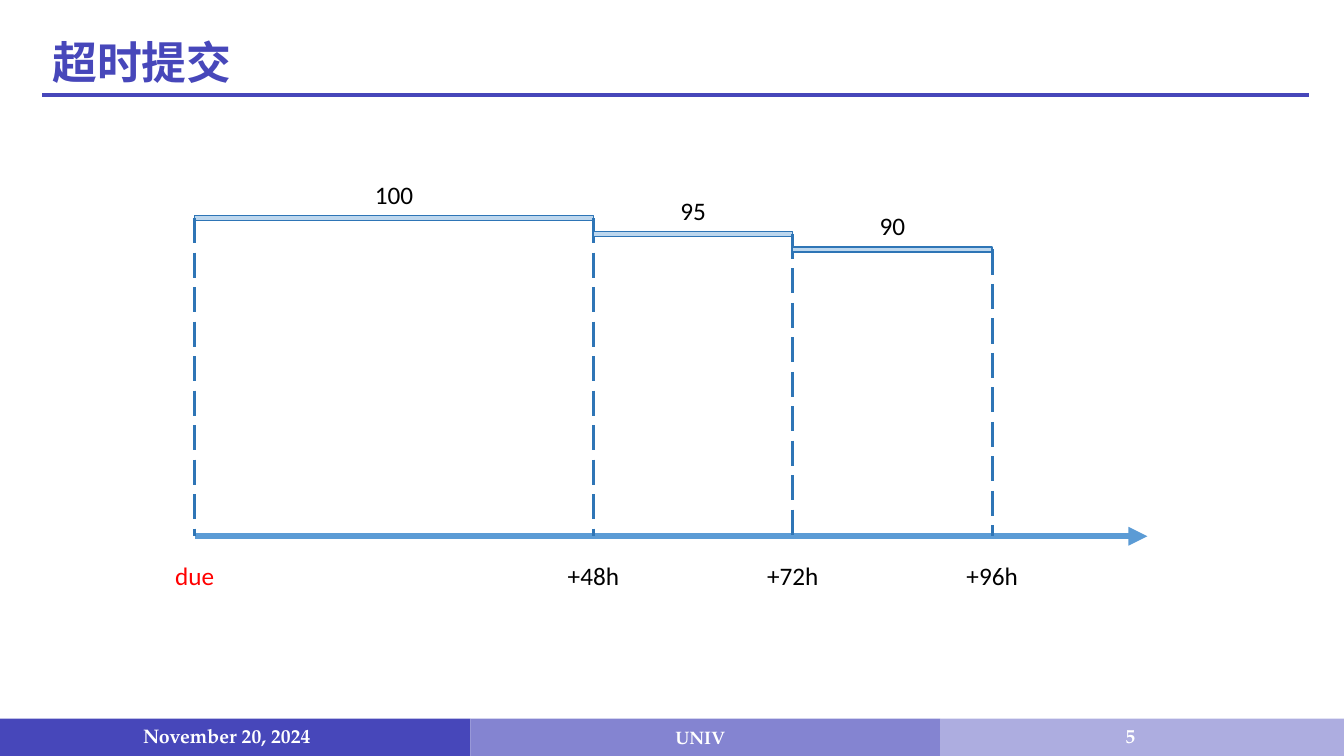
from dataclasses import dataclass

import pptx
import pptx.dml.color
import pptx.enum.dml
import pptx.enum.shapes
import pptx.enum.text
import pptx.oxml.ns
import pptx.util
from lxml import etree

Inches = pptx.util.Inches
Pt = pptx.util.Pt
ALIGN = pptx.enum.text.PP_ALIGN
ANCHOR = pptx.enum.text.MSO_ANCHOR


@dataclass(frozen=True)
class Theme:
    primary: str = "4747BA"
    footer_mid: str = "8484D1"
    footer_light: str = "ADADE0"
    axis: str = "5B9BD5"
    edge: str = "2E75B6"
    bar: str = "BDD7EE"
    text: str = "000000"
    accent: str = "FF0000"
    white: str = "FFFFFF"
    title_font: str = "Cabin"
    body_font: str = "Calibri"
    footer_font: str = "TeX Gyre Pagella"
    title_size: float = 32
    body_size: float = 18
    footer_size: float = 14
    footer_mid_size: float = 12.9


THEME = Theme()


def rgb(value):
    return pptx.dml.color.RGBColor.from_string(value)


def add_rect(s, left, top, width, height, fill, line=None):
    sp = s.shapes.add_shape(pptx.enum.shapes.MSO_SHAPE.RECTANGLE, Inches(left),
                            Inches(top), Inches(width), Inches(height))
    sp.shadow.inherit = False
    sp.fill.solid()
    sp.fill.fore_color.rgb = rgb(fill)
    if line:
        sp.line.color.rgb = rgb(line)
        sp.line.width = Pt(1)
    else:
        sp.line.fill.background()
    return sp


def add_line(s, x1, y1, x2, y2, color, width):
    cx = s.shapes.add_connector(pptx.enum.shapes.MSO_CONNECTOR.STRAIGHT, Inches(x1),
                                Inches(y1), Inches(x2), Inches(y2))
    cx.line.color.rgb = rgb(color)
    cx.line.width = Pt(width)
    etree.SubElement(cx._element.spPr, pptx.oxml.ns.qn("a:effectLst"))
    return cx


def add_text(s, text, left, top, width, height, font, size, color, bold=False,
             align=ALIGN.CENTER, anchor=ANCHOR.MIDDLE, wrap=True):
    tb = s.shapes.add_textbox(Inches(left), Inches(top), Inches(width), Inches(height))
    tf = tb.text_frame
    tf.word_wrap = wrap
    tf.vertical_anchor = anchor
    p = tf.paragraphs[0]
    p.text = text
    p.alignment = align
    r = p.runs[0]
    r.font.name = font
    r.font.size = Pt(size)
    r.font.bold = bold
    r.font.color.rgb = rgb(color)
    return p


def add_label(s, text, center, top, color=THEME.text):
    width = 0.72
    add_text(s, text, center - width / 2, top, width, 0.4, THEME.body_font,
             THEME.body_size, color, anchor=ANCHOR.TOP, wrap=False)


def add_title(s, text, left, top, width, height):
    """Title with a rule along the bottom of its box."""
    add_line(s, left, top + height, left + width, top + height, THEME.primary, 3)
    p = add_text(s, text, left, top, width, height, THEME.title_font, THEME.title_size,
                 THEME.primary, bold=True, align=ALIGN.LEFT, anchor=ANCHOR.TOP)
    p.line_spacing = 0.9
    p.space_before = Pt(10)


def add_footer(s, date, name, number, left, top, width, height):
    wide = 0.35 * width
    narrow = width - 2 * wide
    # text, fill, size, cell width, text centre from cell left, text drop
    cells = [
        (date, THEME.primary, THEME.footer_size, wide, 2.25, -0.02),
        (name, THEME.footer_mid, THEME.footer_mid_size, wide, 2.28, 0),
        (number, THEME.footer_light, THEME.footer_size, narrow, 1.88, -0.02),
    ]
    for text, fill, size, cell_width, center, drop in cells:
        add_rect(s, left, top, cell_width, height, fill)
        add_text(s, text, left + center - 1.2, top + drop, 2.4, height,
                 THEME.footer_font, size, THEME.white, bold=True)
        left += cell_width


def add_timeline(s, scores, left, top, width, height):
    """Step chart of (start hour, end hour, score) over a time axis."""
    hour = 0.0824
    point = 0.031
    bar_height = 0.05
    axis_y = top + height

    def x_at(hours):
        return left + hours * hour

    def add_tick(text, hours, bar, side, color=THEME.text):
        x = x_at(hours)
        drop = add_line(s, x, top, x, axis_y, THEME.edge, 2.25)
        drop.line.dash_style = pptx.enum.dml.MSO_LINE.LONG_DASH
        drop.begin_connect(bar, side)
        add_label(s, text, x, axis_y + 0.19, color)

    axis = add_line(s, left, axis_y, left + width, axis_y, THEME.axis, 4.5)
    etree.SubElement(axis.line._get_or_add_ln(), pptx.oxml.ns.qn("a:tailEnd"),
                     type="triangle")
    for start, end, score in scores:
        x, x_end = x_at(start), x_at(end)
        y = top + (100 - score) * point
        bar = add_rect(s, x, y, x_end - x, bar_height, THEME.bar, THEME.edge)
        add_label(s, str(score), (x + x_end) / 2, y - 0.41)
        if start == 0:
            add_tick("due", start, bar, 1, THEME.accent)
        add_tick(f"+{end}h", end, bar, 3)


def main():
    prs = pptx.Presentation()
    prs.slide_width = Inches(13.33)
    prs.slide_height = Inches(7.5)
    s = prs.slides.add_slide(prs.slide_layouts[6])
    add_footer(s, "November 20, 2024", "UNIV", "5", 0, 7.13, 13.33, 0.37)
    add_title(s, "超时提交", 0.42, 0.36, 12.56, 0.58)
    add_timeline(s, [(0, 48, 100), (48, 72, 95), (72, 96, 90)], 1.93, 2.14, 9.45, 3.18)
    prs.save("out.pptx")


if __name__ == "__main__":
    main()
